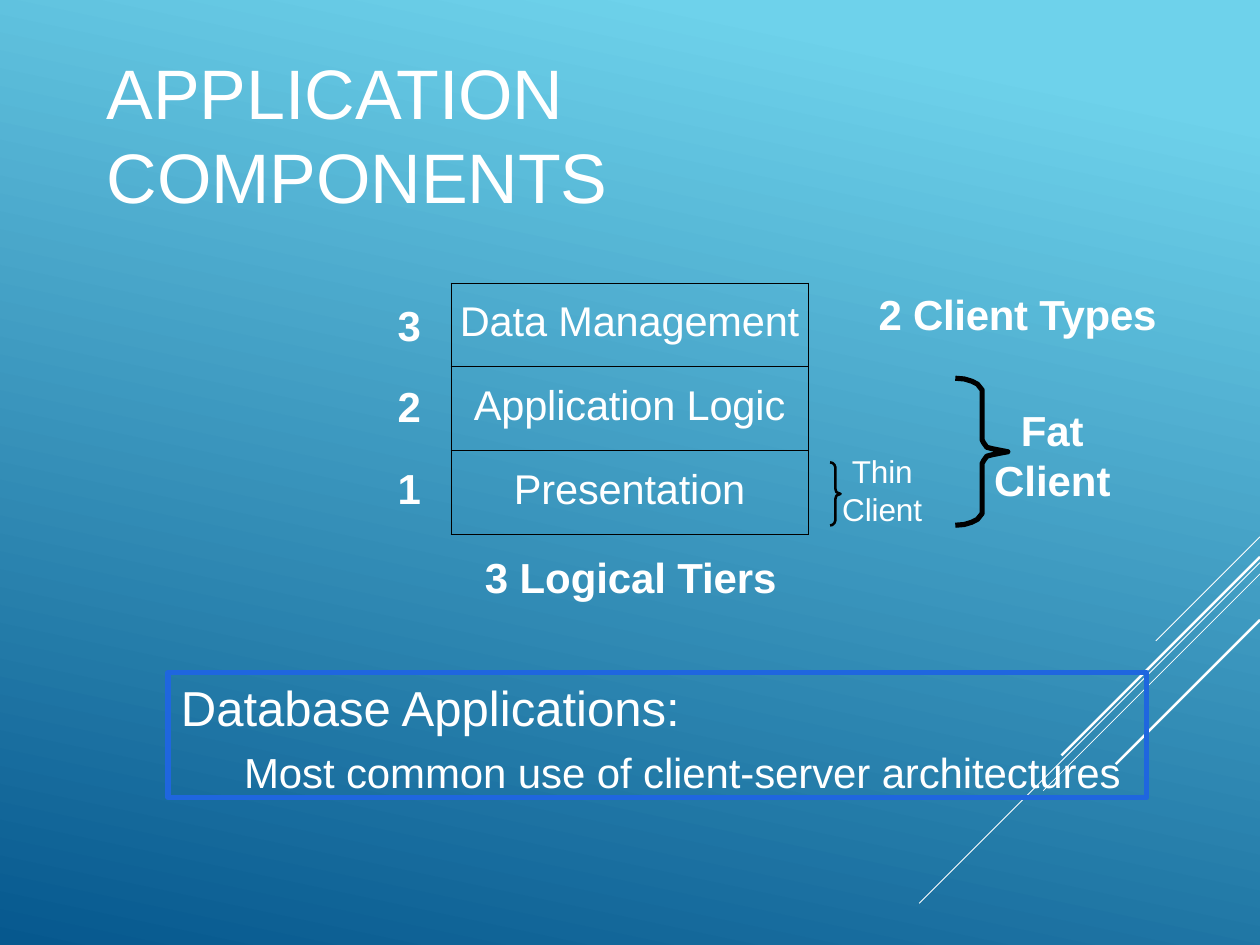
from pptx import Presentation
from pptx.dml.color import RGBColor
from pptx.enum.shapes import MSO_CONNECTOR, MSO_SHAPE
from pptx.enum.text import MSO_ANCHOR, PP_ALIGN
from pptx.oxml.ns import qn
from pptx.util import Inches, Pt
from lxml.etree import SubElement

COLORS = {"white": "FFFFFF", "black": "000000", "frame": "1F66DF",
          "sky": "6ED2EB", "sea": "06588E"}
FONT = "Arial"
LARGE, SMALL = 37.4, 28.1
COLUMNS, ROWS = 100, 75

# Upper half of a right brace, as shares of its width and height
BRACE_HALF = [(0, 0), (0.17, 0.005), (0.31, 0.02), (0.42, 0.04), (0.51, 0.08),
              (0.51, 0.42), (0.54, 0.44), (0.6, 0.47), (0.71, 0.48),
              (0.85, 0.49), (1, 0.5)]


def color(name):
    return RGBColor.from_string(COLORS[name])


class SlideBuilder:
    """Places styled elements on a grid of 100 columns by 75 rows."""

    def __init__(self, presentation):
        self.column = presentation.slide_width / COLUMNS
        self.row = presentation.slide_height / ROWS
        self.slide = presentation.slides.add_slide(presentation.slide_layouts[6])
        self.shapes = self.slide.shapes

    def place(self, left, top, width, height):
        return (round(left * self.column), round(top * self.row),
                round(width * self.column), round(height * self.row))

    def background(self, start, end, angle):
        fill = self.slide.background.fill
        fill.gradient()
        fill.gradient_angle = 360 - angle
        for stop, name, position in zip(fill.gradient_stops, (start, end), (0.1, 1)):
            stop.color.rgb = color(name)
            stop.position = position

    def outline(self, shape, name, width):
        shape.line.color.rgb = color(name)
        shape.line.width = Pt(width)

    def diagonal(self, right, top, length, width):
        x, y, run, drop = self.place(right, top, length, length)
        line = self.shapes.add_connector(MSO_CONNECTOR.STRAIGHT, x, y, x - run, y + drop)
        self.outline(line, "white", width)
        SubElement(line._element.spPr, qn("a:effectLst"))

    def style(self, paragraph, size, bold=False, before=1.6, margin=0.02,
              first=0, spacing=-0.1):
        paragraph.space_before = Pt(before)
        properties = paragraph._p.get_or_add_pPr()
        properties.set("marL", str(Inches(margin)))
        properties.set("indent", str(Inches(first)))
        for run in paragraph.runs:
            run.font.name, run.font.size, run.font.bold = FONT, Pt(size), bold
            run.font.color.rgb = color("white")
            run._r.get_or_add_rPr().set("spc", str(round(spacing * 100)))

    def frame(self, shape, text, inset=0.02, anchor=MSO_ANCHOR.TOP):
        frame = shape.text_frame
        frame.word_wrap = True
        frame.vertical_anchor = anchor
        frame.margin_left = frame.margin_right = frame.margin_bottom = 0
        frame.margin_top = Inches(inset)
        frame.text = text
        return frame.paragraphs

    def label(self, area, text, size, anchor=MSO_ANCHOR.TOP, later=1.6, **style):
        box = self.shapes.add_textbox(*self.place(*area))
        for index, paragraph in enumerate(self.frame(box, text, anchor=anchor)):
            self.style(paragraph, size, before=later if index else 1.6, **style)

    def panel(self, area, heading, detail):
        shape = self.shapes.add_shape(MSO_SHAPE.RECTANGLE, *self.place(*area))
        shape.shadow.inherit = False
        shape.fill.background()
        self.outline(shape, "frame", 4.56)
        first, second = self.frame(shape, f"{heading}\n{detail}", inset=0.06)
        first.alignment = second.alignment = PP_ALIGN.LEFT
        self.style(first, 43.7, before=4.5, margin=0.16, spacing=0)
        self.style(second, LARGE, before=9.3, margin=0.94)

    def brace(self, area, width):
        left, top, across, down = self.place(*area)
        mirrored = [(x, 1 - y) for x, y in reversed(BRACE_HALF[:-1])]
        points = [(round(left + x * across), round(top + y * down))
                  for x, y in BRACE_HALF + mirrored]
        builder = self.shapes.build_freeform(*points[0])
        builder.add_line_segments(points[1:], close=False)
        shape = builder.convert_to_shape()
        shape.shadow.inherit = False
        shape.fill.background()
        self.outline(shape, "black", width)

    def table(self, area, entries):
        table = self.shapes.add_table(len(entries), 1, *self.place(*area)).table
        table.first_row = table.horz_banding = False
        for cell, entry in zip(table.iter_cells(), entries):
            cell.margin_left = cell.margin_right = cell.margin_bottom = 0
            cell.margin_top = Inches(0.2)
            cell.text = entry
            paragraph = cell.text_frame.paragraphs[0]
            paragraph.alignment = PP_ALIGN.CENTER
            self.style(paragraph, 37, before=9.1, margin=0)
            self.borders(cell)
            cell.fill.background()

    def borders(self, cell):
        properties = cell._tc.get_or_add_tcPr()
        for side in ("lnL", "lnR", "lnT", "lnB"):
            line = SubElement(properties, qn(f"a:{side}"), w=str(Pt(0.75)))
            fill = SubElement(line, qn("a:solidFill"))
            SubElement(fill, qn("a:srgbClr"), val=COLORS["black"])


def main():
    presentation = Presentation()
    presentation.slide_width = Inches(15.59)
    presentation.slide_height = Inches(11.69)
    builder = SlideBuilder(presentation)

    # Background with diagonal lines
    builder.background("sky", "sea", 102)
    for top, length, width in [(42.6, 8.27, 0.75), (44.65, 27.05, 0.75),
                               (45.55, 17.2, 0.75), (44.2, 15.75, 2.25),
                               (49.2, 11.45, 2.25)]:
        builder.diagonal(100, top, length, width)

    # Title
    builder.label((8.34, 3.72, 60.5, 13.6), "APPLICATION COMPONENTS", 62.4,
                  anchor=MSO_ANCHOR.MIDDLE)

    # Logical tiers
    builder.table((35.8, 22.45, 28.35, 20),
                  ["Data Management", "Application Logic", "Presentation"])
    builder.label((38.36, 43.62, 23.54, 4.17), "3 Logical Tiers", LARGE, bold=True)
    builder.label((31.43, 23.61, 2.12, 17.32), "3\n2\n1", LARGE, bold=True, later=27.7)

    # Database applications
    builder.panel((13.34, 53.37, 77.68, 9.94), "Database Applications:",
                  "Most common use of client-server architectures")

    # Client types
    builder.brace((75.82, 30.02, 4.17, 11.67), 4.56)
    builder.brace((65.88, 36.7, 0.83, 5), 2.28)
    builder.label((66.71, 35.73, 6.67, 6.22), "Thin Client", SMALL, first=0.12)
    builder.label((78.77, 31.95, 9.56, 8.21), "Fat Client", LARGE, bold=True,
                  first=0.33, spacing=0)
    builder.label((69.6, 22.77, 22.58, 4.17), "2 Client Types", LARGE, bold=True,
                  spacing=-0.25)

    presentation.save("out.pptx")


if __name__ == "__main__":
    main()
